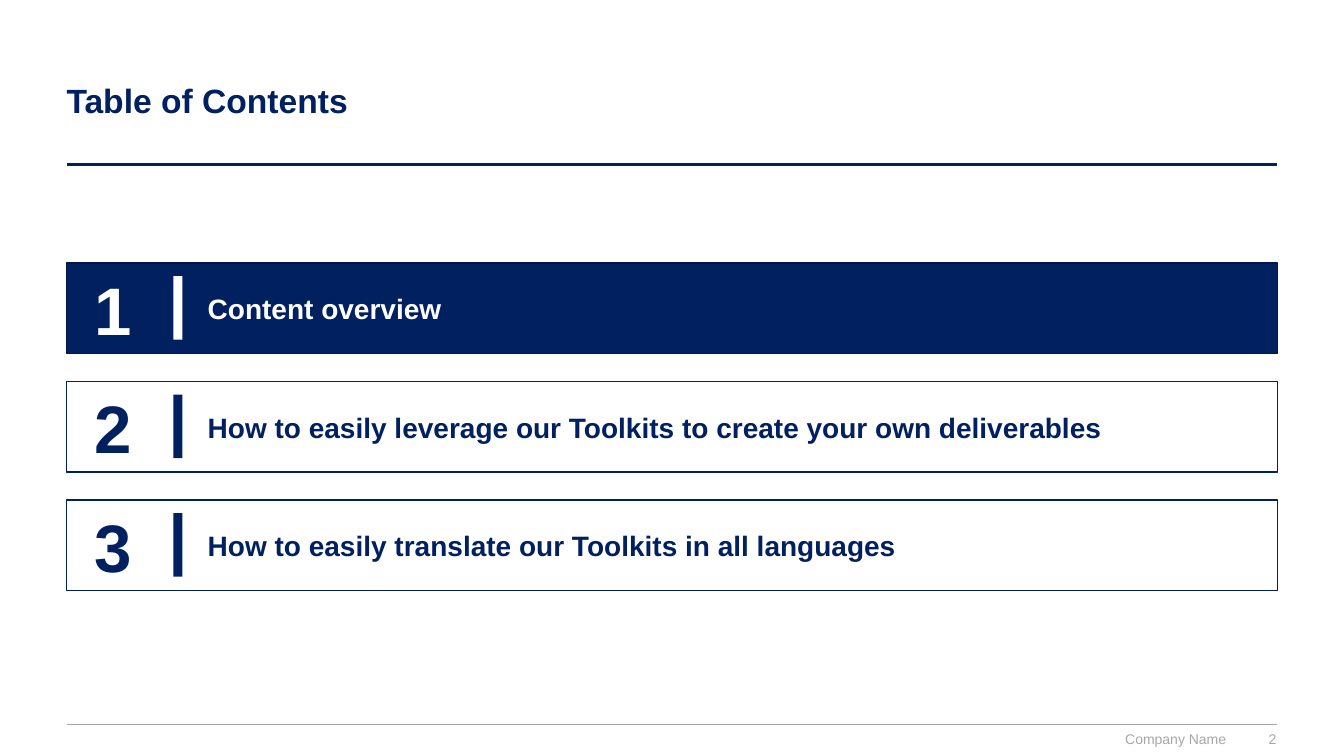
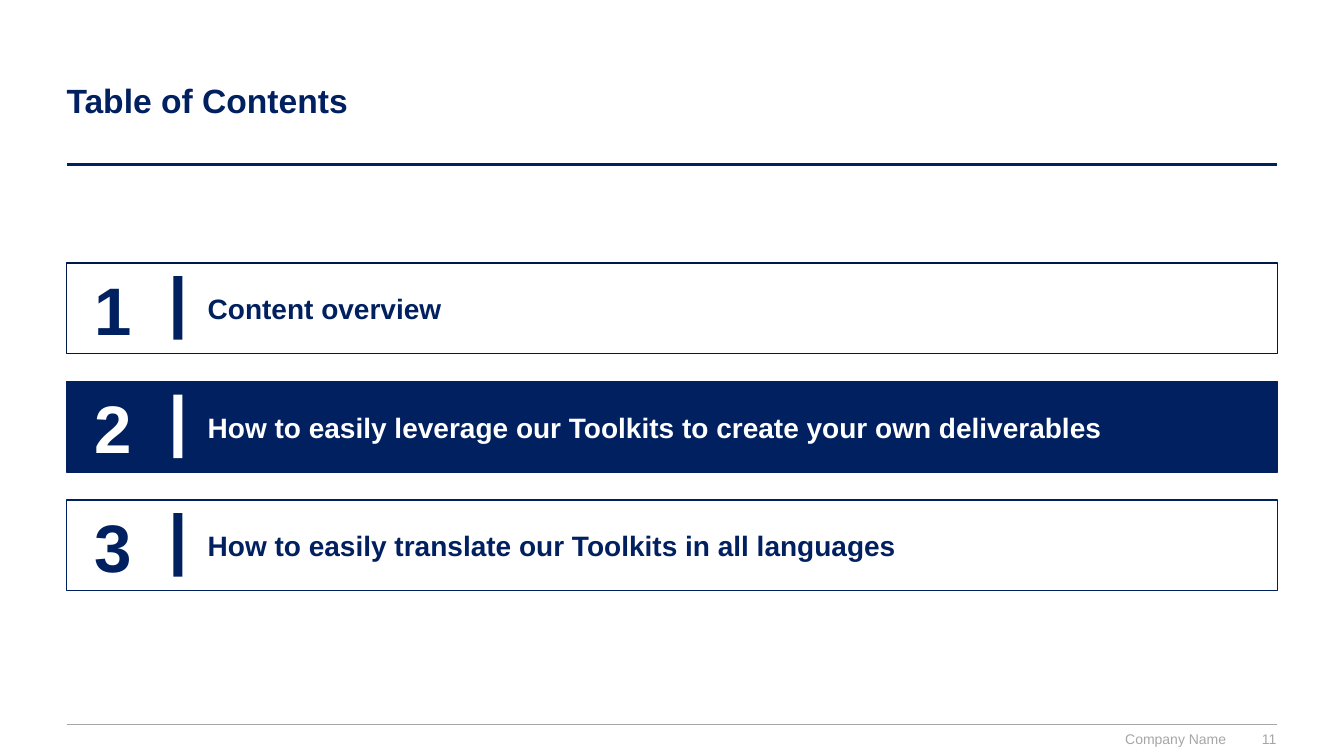
from pptx import Presentation
from pptx.dml.color import RGBColor
from pptx.enum.shapes import MSO_CONNECTOR, MSO_SHAPE
from pptx.enum.text import MSO_ANCHOR as Anchor, MSO_AUTO_SIZE as AutoSize, PP_ALIGN as Align
from pptx.oxml.ns import qn
from pptx.util import Inches, Pt
from lxml.etree import SubElement

NAVY, DARK_NAVY, WHITE, GREY = "002060", "001847", "FFFFFF", "A6A6A6"
FONT = "Arial"
LEFT, CONTENT_WIDTH = 0.66, 12.01
FIRST_TOP, LAST_TOP, ROW_HEIGHT = 2.61, 4.96, 0.9
TITLE_ONLY = 5

SECTIONS = [
    "Content overview",
    "How to easily leverage our Toolkits to create your own deliverables",
    "How to easily translate our Toolkits in all languages",
]
ROW_PITCH = (LAST_TOP - FIRST_TOP) / (len(SECTIONS) - 1)


def color(hex_code):
    return RGBColor.from_string(hex_code)


class Deck:
    """Holds the shared style and the slide being built."""

    def __init__(self):
        self.presentation = Presentation()
        self.presentation.slide_width = Inches(13.33)
        self.presentation.slide_height = Inches(7.5)
        self.slide = None

    def add_slide(self, title, page_number):
        layout = self.presentation.slide_layouts[TITLE_ONLY]
        self.slide = self.presentation.slides.add_slide(layout)
        self.rule(1.63, NAVY, 2)
        self.rule(7.19, GREY, 1)
        self.title(title)
        self.footer(page_number)

    def fill_frame(self, frame, text, size, text_color, bold, align, anchor):
        frame.text = text
        frame.word_wrap = True
        frame.auto_size = AutoSize.NONE
        frame.vertical_anchor = anchor
        paragraph = frame.paragraphs[0]
        paragraph.alignment = align
        font = paragraph.runs[0].font
        font.name, font.size, font.bold = FONT, Pt(size), bold
        font.color.rgb = color(text_color)

    def title(self, text):
        heading = self.slide.shapes.title
        heading.left, heading.top = Inches(0.56), Inches(0.4)
        heading.width, heading.height = Inches(12.11), Inches(1.18)
        self.fill_frame(heading.text_frame, text, 24, NAVY, True, Align.LEFT, Anchor.MIDDLE)

    def rule(self, top, line_color, weight):
        y = Inches(top)
        rule = self.slide.shapes.add_connector(
            MSO_CONNECTOR.STRAIGHT, Inches(LEFT), y, Inches(LEFT + CONTENT_WIDTH), y)
        rule.line.color.rgb = color(line_color)
        rule.line.width = Pt(weight)
        SubElement(rule._element.spPr, qn("a:effectLst"))

    def text(self, shapes, box, text, size, text_color, bold=False,
             align=Align.LEFT, anchor=Anchor.MIDDLE):
        frame = shapes.add_textbox(*map(Inches, box)).text_frame
        frame.margin_left = frame.margin_right = 0
        frame.margin_top = frame.margin_bottom = 0
        self.fill_frame(frame, text, size, text_color, bold, align, anchor)

    def rectangle(self, shapes, box, fill=None, outline=None):
        rectangle = shapes.add_shape(MSO_SHAPE.RECTANGLE, *map(Inches, box))
        rectangle.shadow.inherit = False
        if fill:
            rectangle.fill.solid()
            rectangle.fill.fore_color.rgb = color(fill)
        else:
            rectangle.fill.background()
        if outline:
            rectangle.line.color.rgb = color(outline)
            rectangle.line.width = Pt(1)
        else:
            rectangle.line.fill.background()

    def section(self, number, name, active):
        """Adds one numbered row, filled when it is the active section."""
        top = FIRST_TOP + (number - 1) * ROW_PITCH
        ink = WHITE if active else NAVY
        row = self.slide.shapes.add_group_shape().shapes
        self.rectangle(row, (LEFT, top, CONTENT_WIDTH, ROW_HEIGHT),
                       NAVY if active else None, DARK_NAVY if number == 1 else NAVY)
        self.text(row, (0.74, top + 0.01, 0.77, 0.88), str(number), 48, ink, True, Align.CENTER)
        self.text(row, (2.06, top + 0.28, 10.23, 0.34), name, 20, ink, True)
        self.rectangle(row, (1.72, top + 0.13, 0.09, 0.63), ink)

    def footer(self, page_number):
        shapes = self.slide.shapes
        self.text(shapes, (9.42, 7.25, 2.74, 0.17), "Company Name", 10, GREY,
                  align=Align.RIGHT, anchor=Anchor.TOP)
        self.text(shapes, (12.27, 7.23, 0.39, 0.21), str(page_number), 10, GREY,
                  align=Align.RIGHT)


def main():
    deck = Deck()
    for active_number, page_number in [(1, 2), (2, 11)]:
        deck.add_slide("Table of Contents", page_number)
        for number, name in enumerate(SECTIONS, start=1):
            deck.section(number, name, number == active_number)
    deck.presentation.save("out.pptx")


if __name__ == "__main__":
    main()
